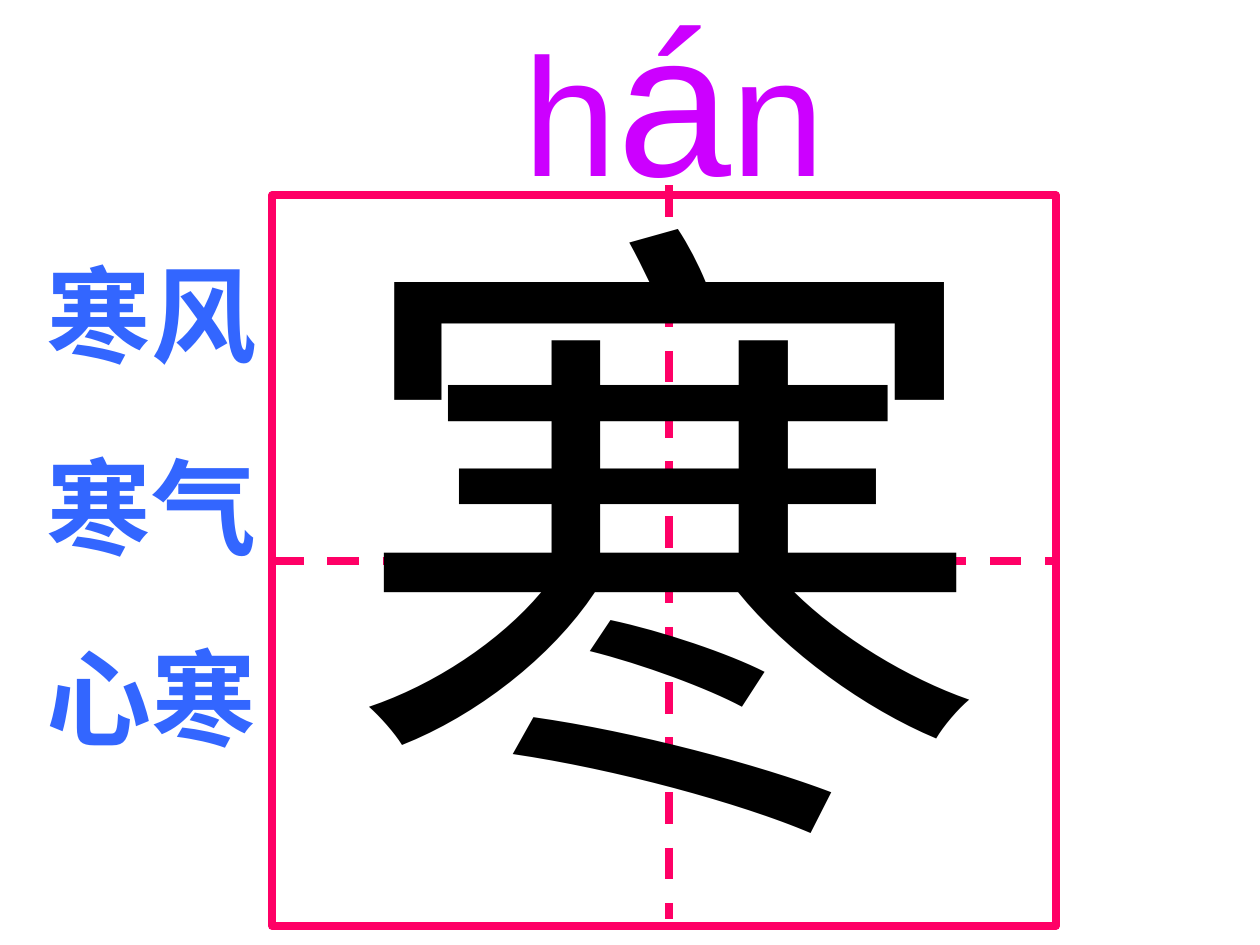
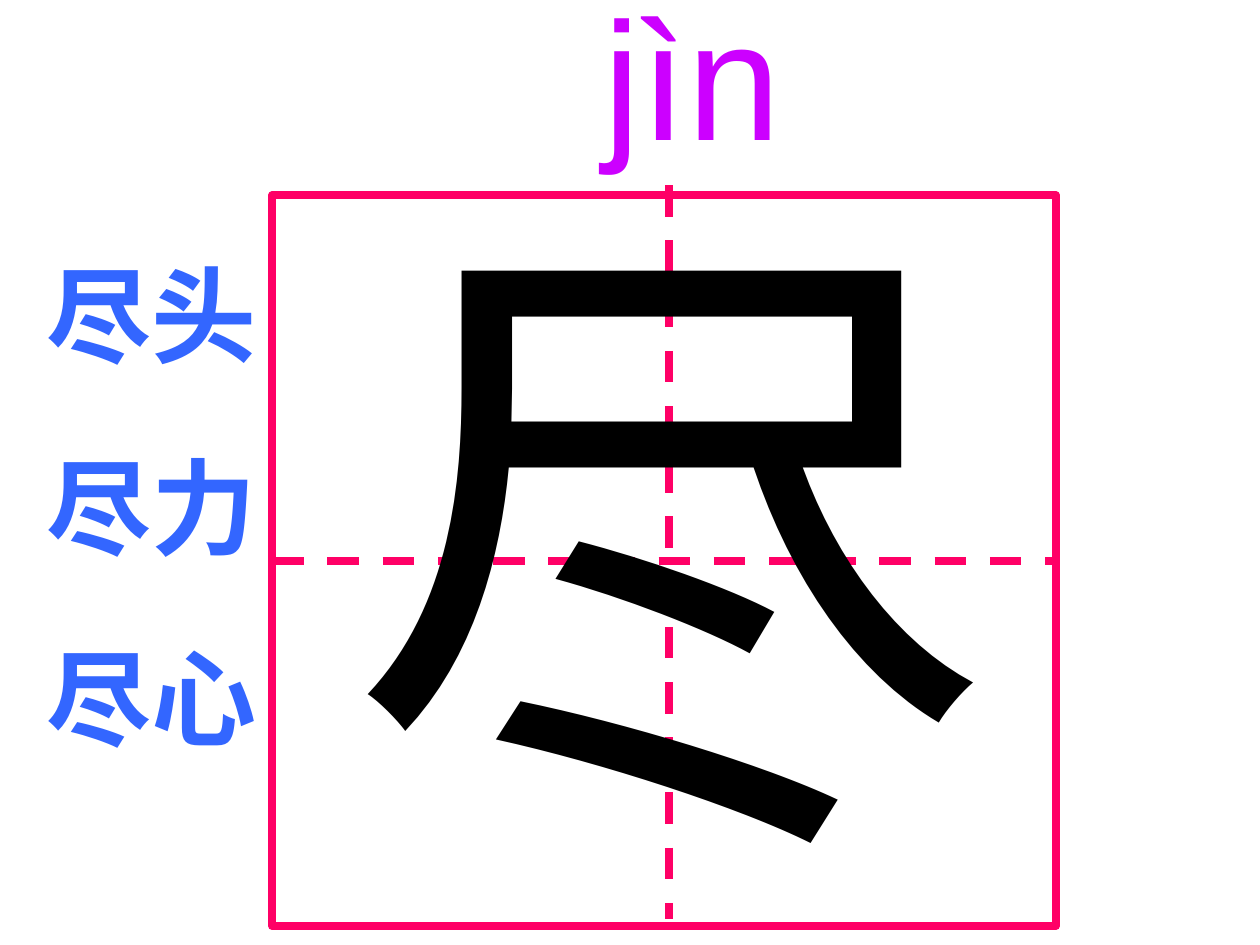
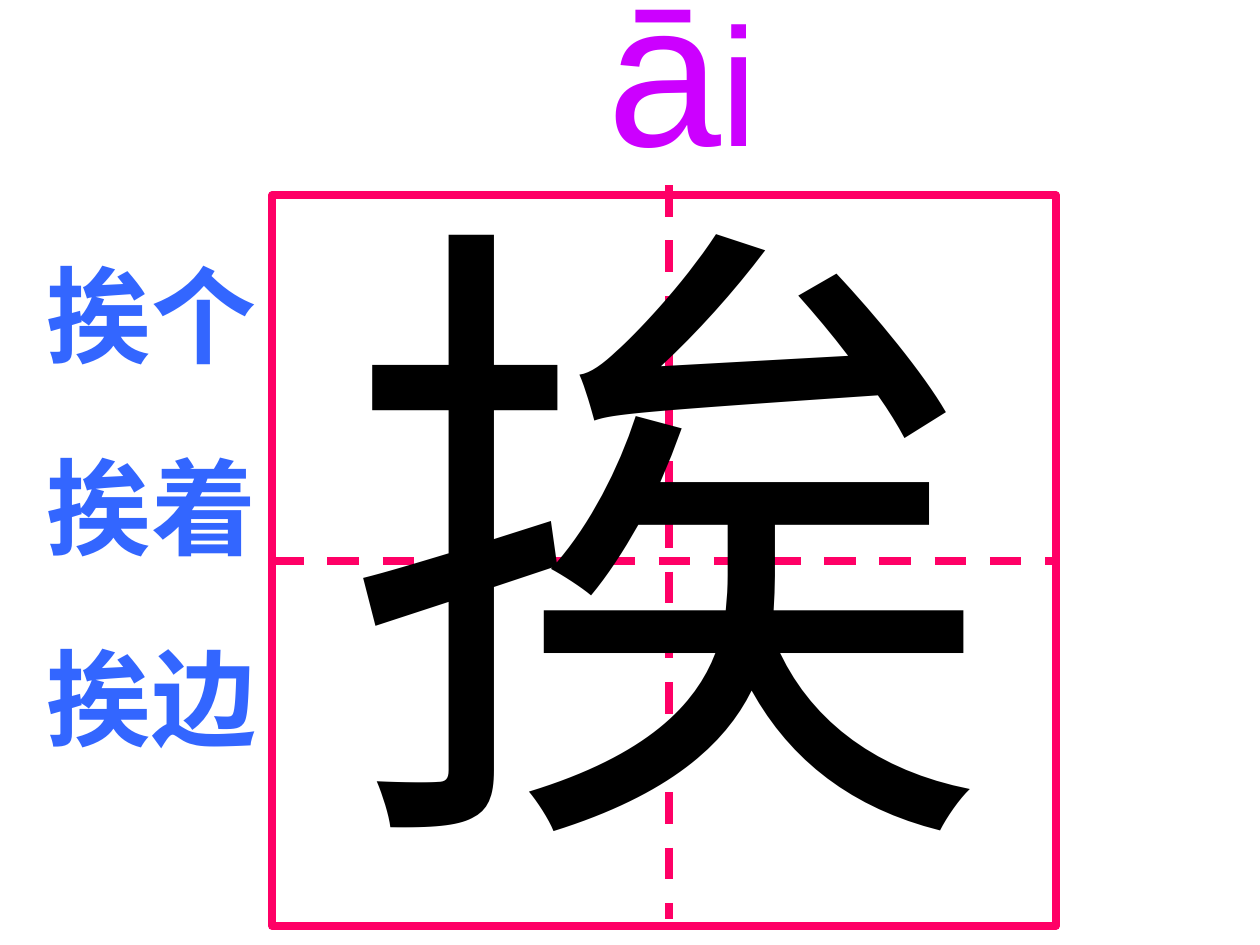
"""Build three character cards: pinyin, a practice square and example words."""
from dataclasses import dataclass

from lxml import etree
from pptx import Presentation
from pptx import util as u
from pptx.dml.color import RGBColor
from pptx.enum import dml, lang, shapes, text
from pptx.oxml import ns

WIDTH, HEIGHT = u.Inches(10), u.Inches(7.5)
COLUMNS, ROWS = 100, 75
PINK, BLUE, PURPLE, BLACK = "FF0066", "3366FF", "CC00FF", "000000"
SMALL, LARGE = 96, 117


@dataclass(frozen=True)
class Area:
    """A rectangle in grid columns and rows."""
    left: float
    top: float
    width: float
    height: float

    def emu(self) -> tuple[int, int, int, int]:
        """Return left, top, width and height in slide units."""
        return (across(self.left), down(self.top),
                across(self.width), down(self.height))


@dataclass(frozen=True)
class Syllable:
    """Pinyin letters as (text, size) pieces, with their box."""
    pieces: tuple[tuple[str, int], ...]
    area: Area
    wrap: bool = False


@dataclass(frozen=True)
class Card:
    """The content of one slide."""
    character: str
    character_top: float
    words: tuple[str, ...]
    syllable: Syllable


SQUARE = Area(21.6, 15.5, 62.2, 58)
WORDS = Area(2.7, 19.4, 20.5, 41.4)
CARDS = (
    Card("寒", 9.9, ("寒风", "寒气", "心寒"),
         Syllable((("h", SMALL), ("á", LARGE), ("n", SMALL)),
                  Area(40.6, -2.7, 35.4, 20.5), wrap=True)),
    Card("尽", 10.7, ("尽头", "尽力", "尽心"),
         Syllable((("jìn", SMALL),), Area(46.9, -2.7, 16.1, 17))),
    Card("挨", 9.9, ("挨个", "挨着", "挨边"),
         Syllable((("ā", LARGE), ("i", SMALL)), Area(47.2, -5.1, 14, 20.5))),
)


def across(columns: float) -> int:
    """Convert grid columns to slide units."""
    return round(WIDTH * columns / COLUMNS)


def down(rows: float) -> int:
    """Convert grid rows to slide units."""
    return round(HEIGHT * rows / ROWS)


def color(value: str) -> RGBColor:
    """Convert a hex string to a colour."""
    return RGBColor.from_string(value)


def add_line(parent, start: tuple[float, float], end: tuple[float, float],
             *, ink: str = PINK, weight: float = 4.5, dashed: bool = True):
    """Draw a straight line between two grid points."""
    line = parent.add_connector(
        shapes.MSO_CONNECTOR.STRAIGHT, across(start[0]), down(start[1]),
        across(end[0]), down(end[1]))
    line.line.color.rgb = color(ink)
    line.line.width = u.Pt(weight)
    if dashed:
        line.line.dash_style = dml.MSO_LINE.DASH
    etree.SubElement(line._element.spPr, ns.qn("a:effectLst"))
    return line


def add_text(page, area: Area, paragraphs, *, ink: str, font: str = "Arial",
             bold: bool = False, gap: float = 0, wrap: bool = True) -> None:
    """Write paragraphs of (text, size) pieces in a box."""
    box = page.shapes.add_textbox(*area.emu())
    frame = box.text_frame
    frame.word_wrap = wrap
    frame.auto_size = text.MSO_AUTO_SIZE.SHAPE_TO_FIT_TEXT
    for index, pieces in enumerate(paragraphs):
        para = frame.add_paragraph() if index else frame.paragraphs[0]
        if index:
            para.space_before = u.Pt(gap)
        for content, size in pieces:
            span = para.add_run()
            span.text = content
            span.font.name = font
            span.font.size = u.Pt(size)
            span.font.bold = bold
            span.font.color.rgb = color(ink)
            span.font.language_id = lang.MSO_LANGUAGE_ID.SIMPLIFIED_CHINESE


def add_square(page) -> None:
    """Draw the practice square with its dashed centre lines."""
    add_line(page.shapes, (18.5, 44.6), (18.5, 44.6),
             ink=BLACK, weight=0.75, dashed=False)
    group = page.shapes.add_group_shape()
    square = group.shapes.add_shape(shapes.MSO_SHAPE.RECTANGLE, *SQUARE.emu())
    square.shadow.inherit = False
    square.fill.background()
    square.line.color.rgb = color(PINK)
    square.line.width = u.Pt(4.5)
    middle = SQUARE.top + SQUARE.height / 2
    line = add_line(group.shapes, (SQUARE.left, middle),
                    (SQUARE.left + SQUARE.width, middle))
    line.begin_connect(square, 1)
    line.end_connect(square, 3)
    add_line(page.shapes, (53.1, 14.7), (53.1, 72.9))


def add_card(deck, card: Card) -> None:
    """Add one slide for a character."""
    page = deck.slides.add_slide(deck.slide_layouts[6])
    add_square(page)
    add_text(page, Area(26.4, card.character_top, 51.4, 62.7),
             [[(card.character, 370)]], ink=BLACK, font="Times New Roman")
    add_text(page, WORDS, [[(word, 60)] for word in card.words],
             ink=BLUE, bold=True, gap=37.5)
    add_text(page, card.syllable.area, [card.syllable.pieces],
             ink=PURPLE, wrap=card.syllable.wrap)


def main() -> None:
    """Build and save the deck."""
    deck = Presentation()
    deck.slide_width, deck.slide_height = WIDTH, HEIGHT
    for card in CARDS:
        add_card(deck, card)
    deck.save("out.pptx")


if __name__ == "__main__":
    main()
